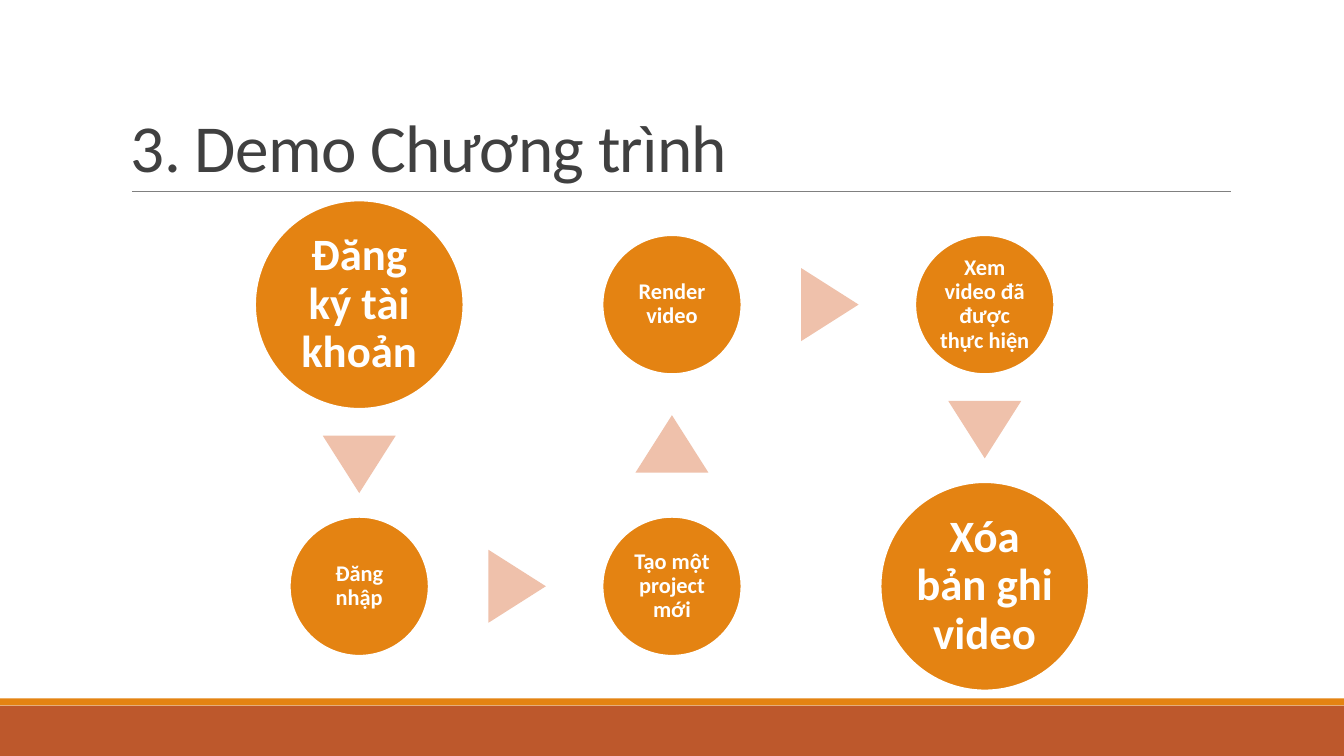
"""Build the demo slide: six program steps joined by arrowheads in a winding path."""
from pptx import Presentation
from pptx.dml.color import RGBColor
from pptx.enum import shapes, text
from pptx.oxml.ns import qn
from pptx.util import Pt

TITLE = "3. Demo Chương trình"
STEPS = [
    ("Đăng ký tài khoản", 0, 0, True),
    ("Đăng nhập", 0, 1, False),
    ("Tạo một project mới", 1, 1, False),
    ("Render video", 1, 0, False),
    ("Xem video đã được thực hiện", 2, 0, False),
    ("Xóa bản ghi video", 2, 1, True),
]
COLORS = {"orange": "E48312", "rust": "BD582C", "arrow": "EFC1AB",
          "rule": "808080", "title": "404040", "white": "FFFFFF"}
FONT = "Calibri"
PAGE_WIDTH, PAGE_HEIGHT = 960, 540
COLUMN_X = [256.6, 480, 703.4]
ROW_Y = [217.6, 418.8]
LARGE, SMALL = (148.8, 32), (99.2, 16)
ARROW_WIDTH, ARROW_HEIGHT, ARROW_SHIFT = 52.1, 41, 1.1


def color(name):
    return RGBColor.from_string(COLORS[name])


def write(box, words, *, size, ink, bold=False, align=text.PP_ALIGN.LEFT,
          anchor=text.MSO_ANCHOR.MIDDLE, line_spacing=0.9, inset=None, tracking=None):
    frame = box.text_frame
    frame.word_wrap = True
    frame.vertical_anchor = anchor
    if inset is not None:
        frame.margin_left = frame.margin_right = Pt(inset)
        frame.margin_top = frame.margin_bottom = Pt(inset)
    para = frame.paragraphs[0]
    para.alignment = align
    para.line_spacing = line_spacing
    span = para.add_run()
    span.text = words
    span.font.name = FONT
    span.font.size = Pt(size)
    span.font.bold = bold
    span.font.color.rgb = color(ink)
    if tracking is not None:
        span._r.get_or_add_rPr().set("spc", str(round(tracking * 100)))


def add_block(page, kind, left, top, width, height, fill, outline=None):
    block = page.shapes.add_shape(kind, Pt(left), Pt(top), Pt(width), Pt(height))
    block.shadow.inherit = False
    block.fill.solid()
    block.fill.fore_color.rgb = color(fill)
    if outline:
        block.line.color.rgb = color(outline)
        block.line.width = Pt(1.25)
    else:
        block.line.fill.background()
    return block


def add_frame(page):
    rectangle = shapes.MSO_SHAPE.RECTANGLE
    add_block(page, rectangle, 0, 504, PAGE_WIDTH, 36, "rust")
    add_block(page, rectangle, 0, 498.8, PAGE_WIDTH, 5.04, "orange")
    rule = page.shapes.add_connector(shapes.MSO_CONNECTOR.STRAIGHT,
                                     Pt(94.3), Pt(136.8), Pt(879), Pt(136.8))
    rule.line.color.rgb = color("rule")
    rule.line.width = Pt(0.5)
    properties = rule._element.spPr
    properties.append(properties.makeelement(qn("a:effectLst"), {}))
    title = page.shapes.add_textbox(Pt(86.4), Pt(22.6), Pt(792), Pt(114.2))
    write(title, TITLE, size=48, ink="title", anchor=text.MSO_ANCHOR.BOTTOM,
          line_spacing=0.85, tracking=-0.5)


def add_step(page, step):
    words, column, row, large = step
    diameter, size = LARGE if large else SMALL
    circle = add_block(page, shapes.MSO_SHAPE.OVAL, COLUMN_X[column] - diameter / 2,
                       ROW_Y[row] - diameter / 2, diameter, diameter, "orange", "white")
    write(circle, words, size=size, ink="white", bold=True,
          align=text.PP_ALIGN.CENTER, inset=size / 10)


def add_arrow(page, start, end):
    """Centre an arrowhead in the gap between two circles, nudged forward."""
    _, column, row, start_large = start
    _, next_column, next_row, end_large = end
    step_x, step_y = next_column - column, next_row - row
    start_radius = (LARGE if start_large else SMALL)[0] / 2
    end_radius = (LARGE if end_large else SMALL)[0] / 2
    shift = (start_radius - end_radius) / 2 + ARROW_SHIFT
    middle_x = (COLUMN_X[column] + COLUMN_X[next_column]) / 2 + step_x * shift
    middle_y = (ROW_Y[row] + ROW_Y[next_row]) / 2 + step_y * shift
    arrow = add_block(page, shapes.MSO_SHAPE.ISOSCELES_TRIANGLE,
                      middle_x - ARROW_WIDTH / 2, middle_y - ARROW_HEIGHT / 2,
                      ARROW_WIDTH, ARROW_HEIGHT, "arrow")
    arrow.rotation = {(1, 0): 90, (0, 1): 180, (0, -1): 0}[step_x, step_y]


def main():
    deck = Presentation()
    deck.slide_width, deck.slide_height = Pt(PAGE_WIDTH), Pt(PAGE_HEIGHT)
    page = deck.slides.add_slide(deck.slide_layouts[6])
    add_frame(page)
    for index, step in enumerate(STEPS):
        if index:
            add_arrow(page, STEPS[index - 1], step)
        add_step(page, step)
    deck.save("out.pptx")


if __name__ == "__main__":
    main()
